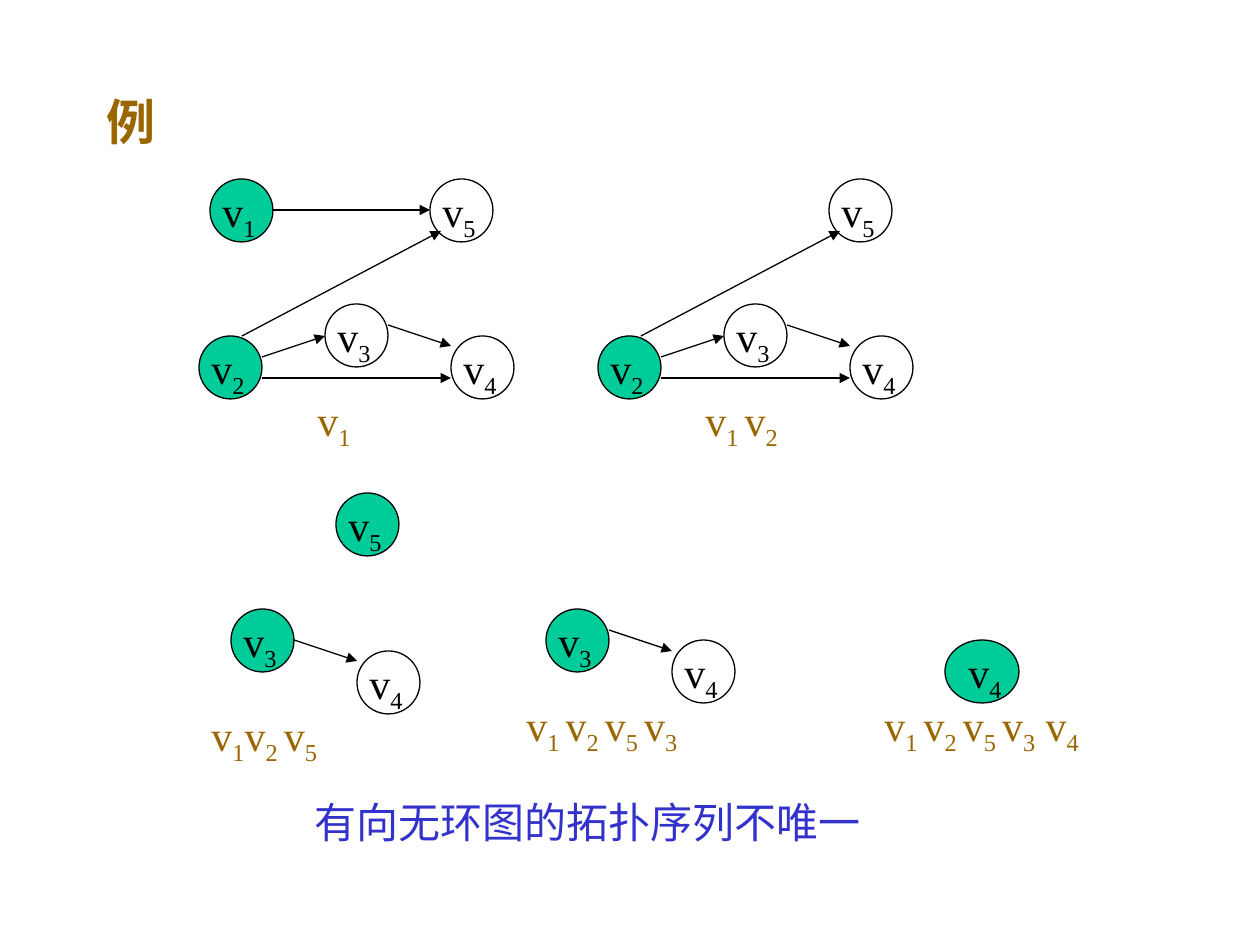
from lxml.etree import SubElement
from pptx import Presentation
from pptx.dml.color import RGBColor
from pptx.enum.shapes import MSO_CONNECTOR, MSO_SHAPE
from pptx.enum.text import MSO_ANCHOR
from pptx.oxml.ns import qn
from pptx.util import Pt

PX = 914400 / 126
BLACK, BROWN, BLUE, GREEN = "000000", "996600", "3333CC", "00CC99"
DIAMETER = 63

prs = Presentation()
prs.slide_width, prs.slide_height = round(1260 * PX), round(945 * PX)
slide = prs.slides.add_slide(prs.slide_layouts[6])
shapes = slide.shapes


def emu(*lengths):
    return [round(length * PX) for length in lengths]


def add_text(text, left, top, width, height, color, size=24):
    """Add a text box; every second part between bars is a subscript."""
    frame = shapes.add_textbox(*emu(left, top, width, height)).text_frame
    frame.word_wrap = True
    for i, part in enumerate(text.split("|")):
        run = frame.paragraphs[0].add_run()
        run.text = part
        run.font.name = "Times New Roman"
        run.font.size = Pt(size)
        run.font.color.rgb = RGBColor.from_string(color)
        if i % 2:
            run.font._element.set("baseline", "-25000")
    return frame


title = add_text("例", 94, 84, 1071, 74, BROWN, 28)
title.vertical_anchor = MSO_ANCHOR.MIDDLE
title.paragraphs[0].runs[0].font.bold = True

# Vertex number -> top left corner; edges as start and end points
full_vertices = {1: (210, 179), 2: (199, 336), 3: (325, 304),
                 4: (451, 336), 5: (430, 179)}
first_edge = (273, 210, 430, 210)
later_edges = [(242, 336, 441, 231), (262, 357, 325, 336),
               (388, 325, 451, 346), (262, 378, 451, 378)]
STEP = 399  # from the first graph to the second

# Vertices, edges, vertices without predecessor, vertex width
graphs = [
    (full_vertices, [first_edge] + later_edges, {1, 2}, DIAMETER),
    ({n: (x + STEP, y) for n, (x, y) in full_vertices.items() if n != 1},
     [(x1 + STEP, y1, x2 + STEP, y2) for x1, y1, x2, y2 in later_edges],
     {2}, DIAMETER),
    ({5: (336, 493), 3: (231, 609), 4: (357, 651)},
     [(294, 640, 357, 661)], {3, 5}, DIAMETER),
    ({3: (546, 609), 4: (672, 640)}, [(609, 630, 672, 651)], {3}, DIAMETER),
    ({4: (945, 640)}, [], {4}, 74),
]
for vertices, edges, ready, width in graphs:
    for number, (left, top) in vertices.items():
        vertex = shapes.add_shape(MSO_SHAPE.OVAL, *emu(left, top, width, DIAMETER))
        vertex.shadow.inherit = False
        vertex.line.color.rgb = RGBColor.from_string(BLACK)
        vertex.line.width = Pt(0.75)
        if number in ready:
            vertex.fill.solid()
            vertex.fill.fore_color.rgb = RGBColor.from_string(GREEN)
        else:
            vertex.fill.background()
    for ends in edges:
        edge = shapes.add_connector(MSO_CONNECTOR.STRAIGHT, *emu(*ends))
        edge.line.color.rgb = RGBColor.from_string(BLACK)
        edge.line.width = Pt(0.75)
        SubElement(edge.line._get_or_add_ln(), qn("a:tailEnd"), type="triangle")
        SubElement(edge._element.spPr, qn("a:effectLst"))
    for number, (left, top) in vertices.items():
        add_text(f"v|{number}", left + width - DIAMETER, top, 74, 70, BLACK)

orders = [
    ("v|1", 305, 388, 116),
    ("v|1 |v|2", 693, 388, 116),
    ("v|1|v|2 |v|5", 199, 703, 210),
    ("v|1 |v|2 |v|5 |v|3", 514, 693, 210),
    ("v|1 |v|2 |v|5 |v|3| v|4", 872, 693, 252),
]
for order, left, top, width in orders:
    add_text(order, left, top, width, 70, BROWN)

add_text("有向无环图的拓扑序列不唯一", 302, 790, 630, 63, BLUE)

prs.save("out.pptx")
